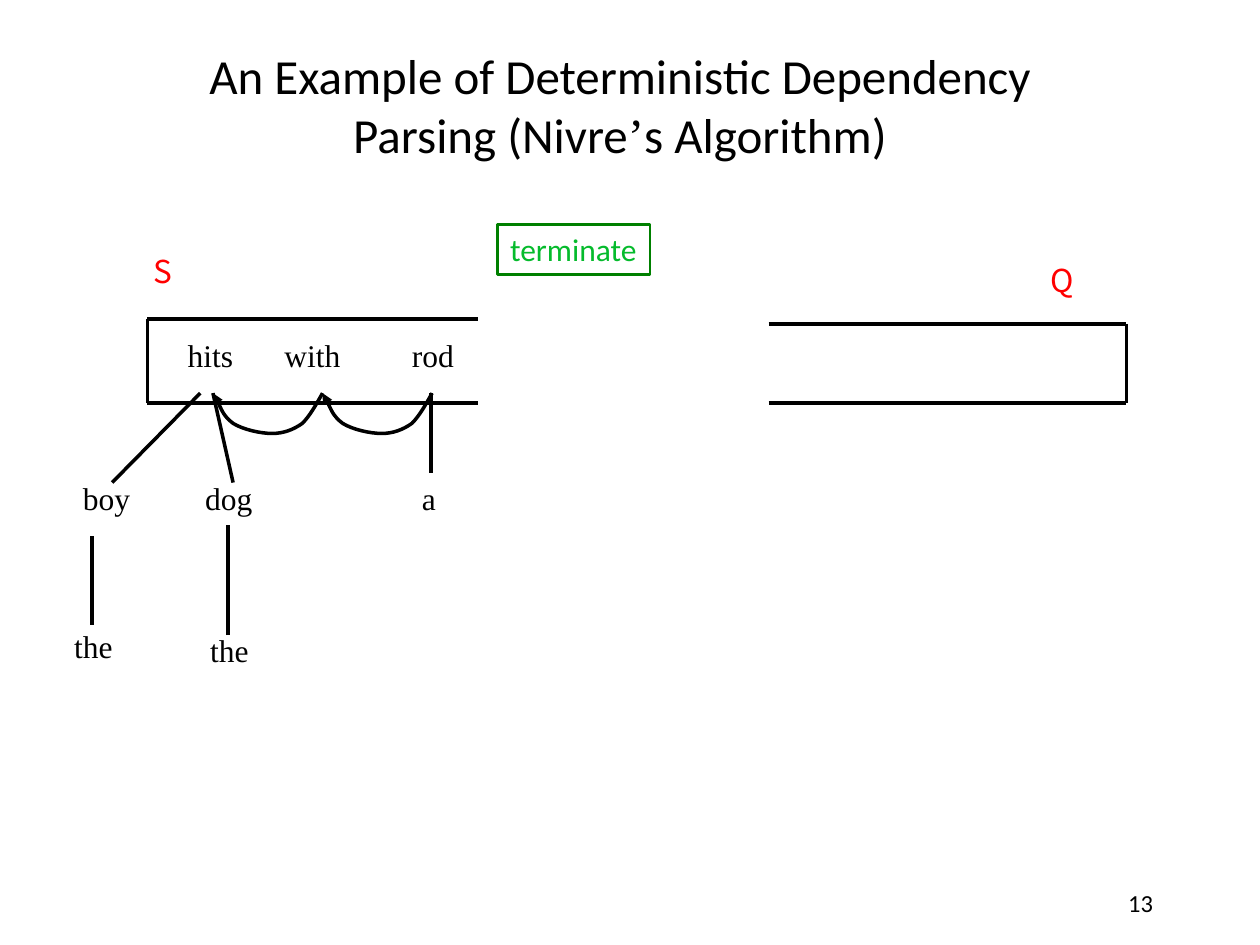
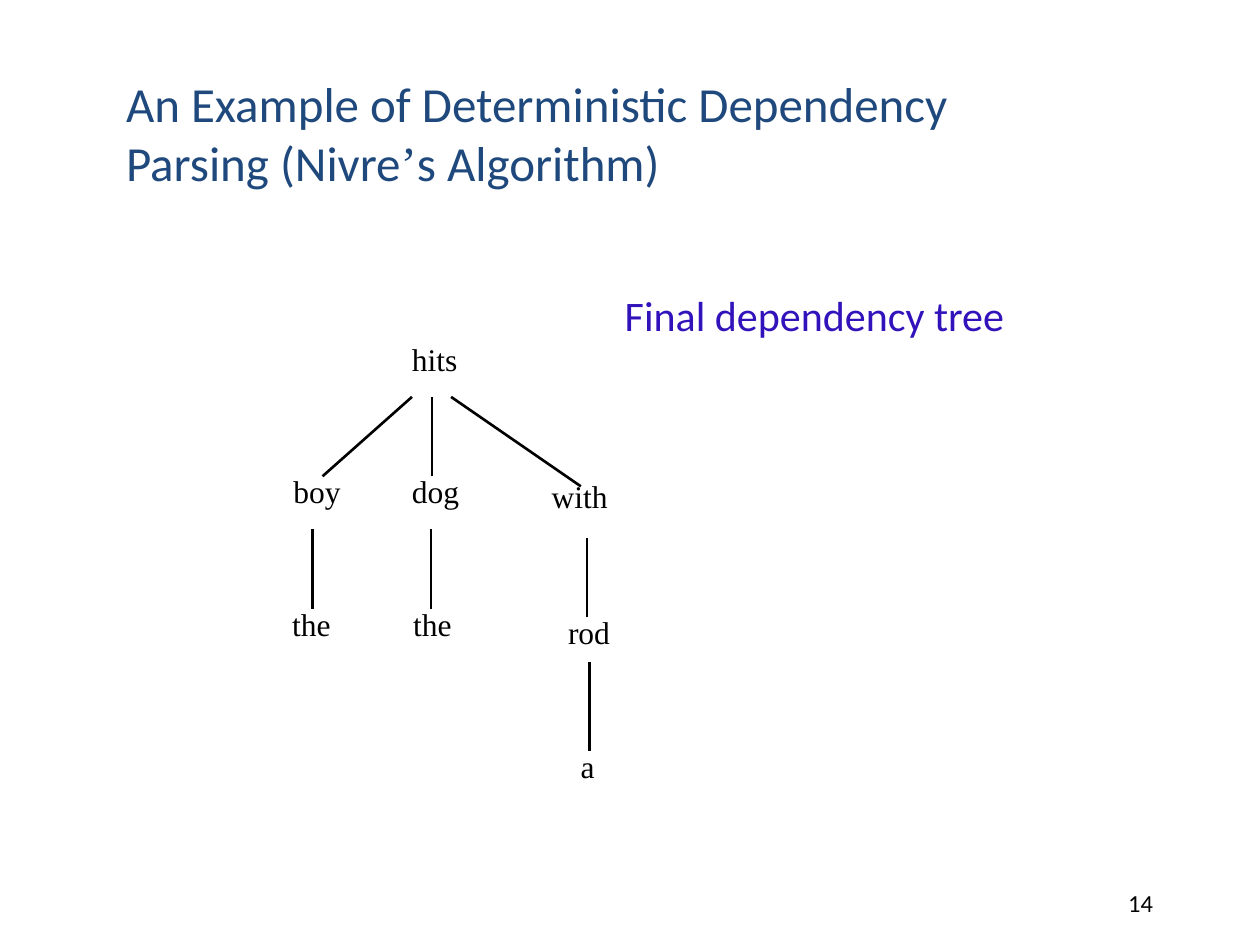
from dataclasses import dataclass

from lxml.etree import SubElement
from pptx import Presentation
from pptx.dml.color import RGBColor
from pptx.enum.shapes import MSO_CONNECTOR, MSO_SHAPE
from pptx.enum.text import MSO_ANCHOR, MSO_AUTO_SIZE, PP_ALIGN
from pptx.oxml.ns import qn
from pptx.util import Pt

PX = 9144
TITLE_ONLY = 5


@dataclass(frozen=True)
class Theme:
    black: str = "000000"
    navy: str = "1F497D"
    red: str = "FF0000"
    green: str = "05BB2C"
    dark_green: str = "008000"
    violet: str = "3212BA"
    sans: str = "Calibri"
    serif: str = "Times New Roman"
    label_font: str = "Noto Sans CJK JP"
    title_size: int = 28
    heading_size: int = 24
    text_size: int = 18
    number_size: int = 14
    thick: float = 2
    thin: float = 1.5


class SlideBuilder:
    def __init__(self, deck, theme):
        self.deck = deck
        self.theme = theme
        self.page = None

    def start(self, number):
        layout = self.deck.slide_layouts[TITLE_ONLY]
        self.page = self.deck.slides.add_slide(layout)
        box = self.page.shapes.add_textbox(717 * PX, 683 * PX, 208 * PX, 50 * PX)
        frame = box.text_frame
        frame.word_wrap = True
        frame.vertical_anchor = MSO_ANCHOR.BOTTOM
        para = frame.paragraphs[0]
        para.alignment = PP_ALIGN.RIGHT
        self.span(para, str(number), self.theme.number_size)

    def span(self, para, text, size, color=None, font=None):
        run = para.add_run()
        run.text = text
        run.font.size = Pt(size)
        run.font.name = font or self.theme.sans
        run.font.color.rgb = RGBColor.from_string(color or self.theme.black)

    def title(self, left, top, color, alignment, anchor):
        theme = self.theme
        box = self.page.shapes.title
        box.left, box.top = left * PX, top * PX
        box.width, box.height = 850 * PX, 100 * PX
        frame = box.text_frame
        frame.word_wrap = True
        frame.auto_size = MSO_AUTO_SIZE.NONE
        frame.vertical_anchor = anchor
        para = frame.paragraphs[0]
        para.alignment = alignment
        self.span(para, "An Example of Deterministic Dependency", theme.title_size, color)
        para.add_line_break()
        self.span(para, "Parsing (Nivre", theme.title_size, color)
        self.span(para, "’", theme.title_size, color, theme.serif)
        self.span(para, "s Algorithm)", theme.title_size, color)

    def fill_label(self, box, text, size, color, font):
        frame = box.text_frame
        frame.word_wrap = False
        frame.auto_size = MSO_AUTO_SIZE.SHAPE_TO_FIT_TEXT
        frame.vertical_anchor = MSO_ANCHOR.TOP
        para = frame.paragraphs[0]
        para.alignment = PP_ALIGN.LEFT
        self.span(para, text, size, color, font)

    def label(self, text, left, top, width, color, font, size=None, height=40):
        box = self.page.shapes.add_textbox(left * PX, top * PX, width * PX, height * PX)
        self.fill_label(box, text, size or self.theme.text_size, color, font)

    def words(self, placed):
        widths = {"hits": 58, "with": 66, "rod": 55, "boy": 59, "dog": 59, "the": 52, "a": 33}
        for text, left, top in placed:
            self.label(text, left, top, widths[text], self.theme.black, self.theme.serif)

    def framed_label(self, text, left, top, width, height):
        theme = self.theme
        box = self.page.shapes.add_shape(
            MSO_SHAPE.RECTANGLE, left * PX, top * PX, width * PX, height * PX
        )
        box.shadow.inherit = False
        box.fill.background()
        self.stroke(box, theme.dark_green, theme.thin)
        self.fill_label(box, text, theme.text_size, theme.green, theme.sans)

    def stroke(self, shape, color, weight):
        shape.line.color.rgb = RGBColor.from_string(color)
        shape.line.width = Pt(weight)

    def lines(self, ends, weight):
        for end in ends:
            line = self.page.shapes.add_connector(
                MSO_CONNECTOR.STRAIGHT, *(value * PX for value in end)
            )
            self.stroke(line, self.theme.black, weight)
            SubElement(line._element.spPr, qn("a:effectLst"))

    def arc_arrow(self, right, top):
        offsets = [
            (-5, 9), (-10, 18), (-16, 24),
            (-23, 29), (-31, 32), (-40, 32),
            (-49, 32), (-63, 29), (-71, 24),
            (-79, 18), (-84, 4), (-87, 0),
        ]
        builder = self.page.shapes.build_freeform(right, top, scale=PX)
        builder.add_line_segments([(right + x, top + y) for x, y in offsets], close=False)
        arc = builder.convert_to_shape()
        arc.shadow.inherit = False
        arc.fill.background()
        self.stroke(arc, self.theme.black, self.theme.thick)
        segments = list(arc._element.iter(qn("a:lnTo")))
        outline = segments[0].getparent()
        for first in range(0, len(segments), 3):
            curve = SubElement(outline, qn("a:cubicBezTo"))
            for segment in segments[first:first + 3]:
                curve.append(segment[0])
                outline.remove(segment)
        SubElement(arc.line._get_or_add_ln(), qn("a:tailEnd"), type="triangle")


def build_parser_state(builder):
    theme = builder.theme
    builder.start(13)
    builder.title(67, 33, theme.black, PP_ALIGN.CENTER, MSO_ANCHOR.MIDDLE)
    stack_cells = [(117, 208), (204, 295), (287, 379)]
    stack_rails = [(left, y, right, y) for left, right in stack_cells for y in (253, 320)]
    queue_rails = [(610, y, 894, y) for y in (257, 320)]
    end_walls = [(117, 253, 117, 320), (894, 257, 894, 320)]
    branches = [
        (73, 496, 73, 425), (89, 383, 159, 312), (181, 504, 181, 417),
        (185, 383, 169, 312), (342, 375, 342, 312),
    ]
    builder.lines(stack_rails + queue_rails + end_walls + branches, theme.thick)
    builder.label("S", 112, 195, 34, theme.red, theme.label_font)
    builder.label("Q", 824, 202, 39, theme.red, theme.label_font)
    builder.framed_label("terminate", 395, 178, 121, 40)
    builder.words([
        ("hits", 139, 262), ("with", 216, 262), ("rod", 317, 262),
        ("boy", 56, 375), ("dog", 153, 375), ("a", 325, 375),
        ("the", 49, 493), ("the", 157, 496),
    ])
    for right in (343, 256):
        builder.arc_arrow(right, 312)


def build_final_tree(builder):
    theme = builder.theme
    builder.start(14)
    builder.title(90, 57, theme.navy, PP_ALIGN.LEFT, MSO_ANCHOR.BOTTOM)
    builder.label(
        "Final dependency tree", 486, 225, 321, theme.violet, theme.sans,
        theme.heading_size, 50,
    )
    builder.words([
        ("hits", 317, 265),
        ("boy", 223, 370), ("dog", 317, 370), ("with", 428, 374),
        ("the", 222, 475), ("the", 318, 475), ("rod", 441, 482),
        ("a", 451, 588),
    ])
    builder.lines([
        (256, 378, 327, 315), (343, 378, 343, 315), (461, 386, 358, 315),
        (248, 483, 248, 420), (342, 483, 342, 420), (466, 490, 466, 427),
        (468, 596, 468, 525),
    ], theme.thin)


def main():
    deck = Presentation()
    deck.slide_width, deck.slide_height = 1000 * PX, 750 * PX
    builder = SlideBuilder(deck, Theme())
    build_parser_state(builder)
    build_final_tree(builder)
    deck.save("out.pptx")


if __name__ == "__main__":
    main()
